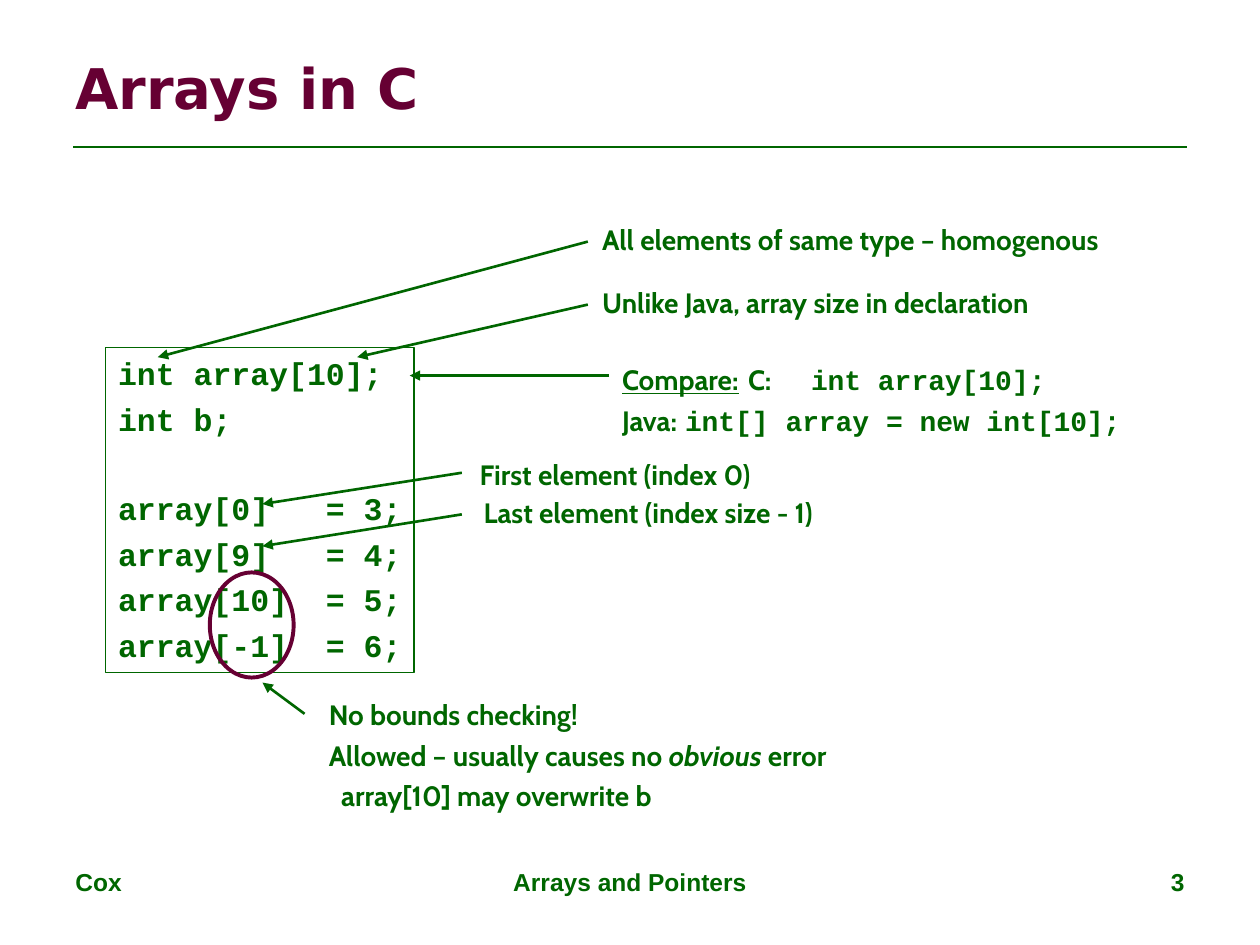
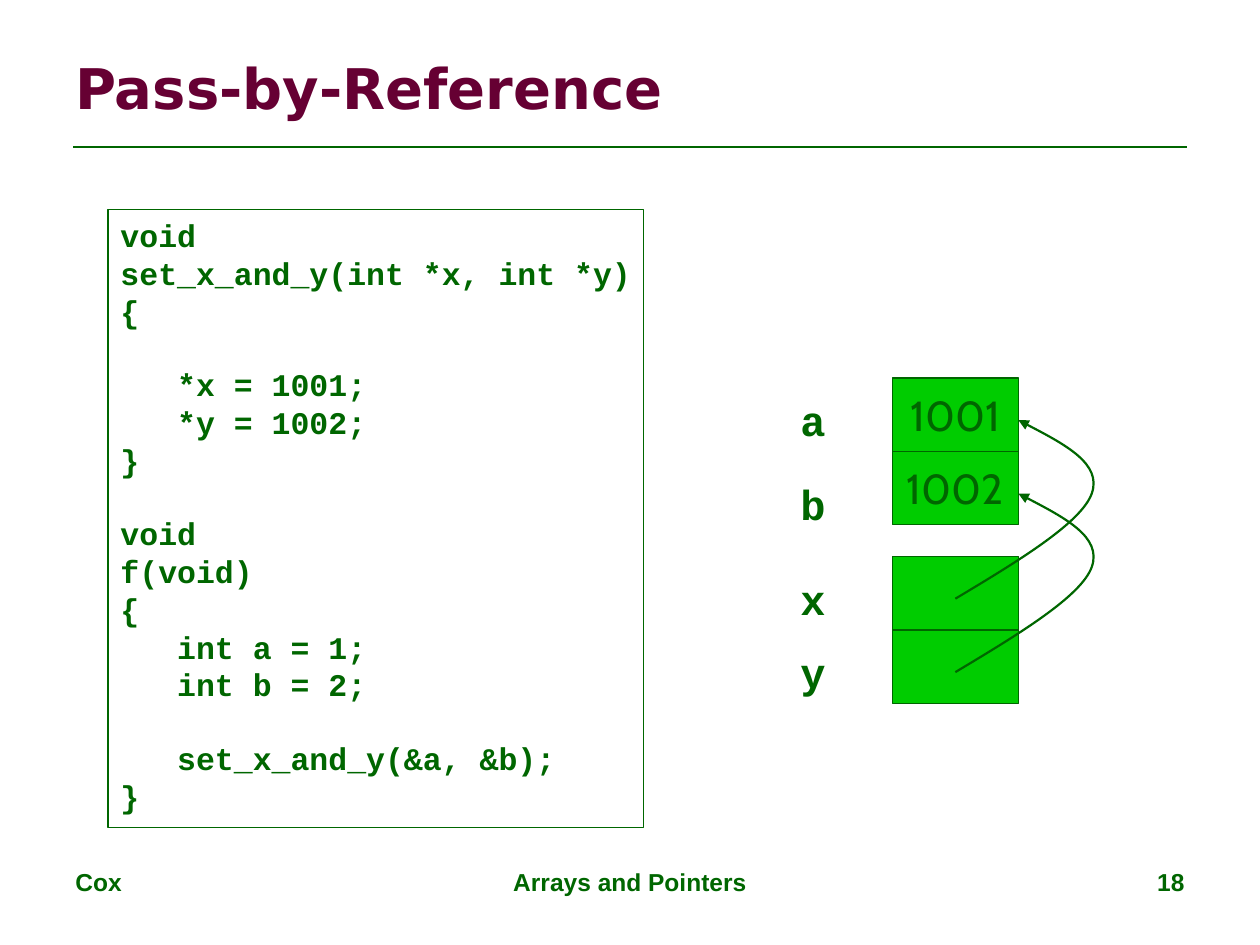
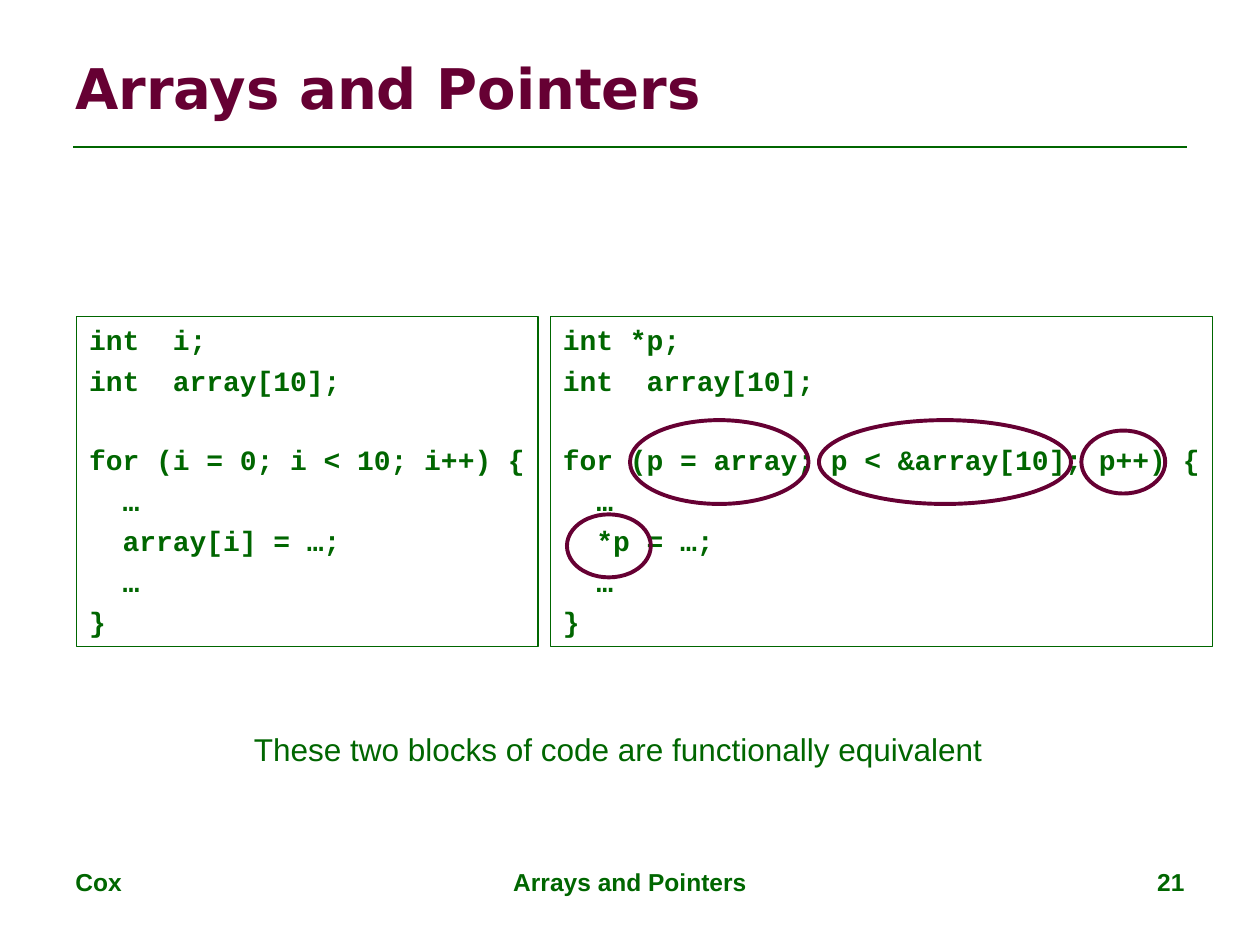
from lxml import etree
from pptx import Presentation
from pptx.dml.color import RGBColor
from pptx.enum.shapes import MSO_CONNECTOR, MSO_SHAPE
from pptx.enum.text import MSO_ANCHOR, MSO_AUTO_SIZE, PP_ALIGN
from pptx.oxml.ns import qn
from pptx.util import Cm, Pt

RECT, OVAL = MSO_SHAPE.RECTANGLE, MSO_SHAPE.OVAL
STRAIGHT = MSO_CONNECTOR.STRAIGHT
LEFT, CENTER, RIGHT = PP_ALIGN.LEFT, PP_ALIGN.CENTER, PP_ALIGN.RIGHT
TOP, MIDDLE = MSO_ANCHOR.TOP, MSO_ANCHOR.MIDDLE
FIT, FIXED = MSO_AUTO_SIZE.SHAPE_TO_FIT_TEXT, MSO_AUTO_SIZE.NONE

COLORS = {"ink": "006600", "accent": "660033", "cell": "00CC00"}
TITLE = {"name": "DejaVu Sans", "size": Pt(32), "bold": True}
FOOTER = {"name": "Arial", "size": Pt(14), "bold": True}
CAPTION = {"name": "Arial", "size": Pt(18)}
NOTE = {"name": "Cabin", "size": Pt(16), "bold": True}
VALUE = {"name": "Cabin", "size": Pt(24)}
LABEL = {"name": "Courier New", "size": Pt(24), "bold": True}
MONO = {"name": "Courier New"}
LINE_HEIGHT = 1.133

DECLARATIONS = """int array[10];
int b;

array[0]   = 3;
array[9]   = 4;
array[10]  = 5;
array[-1]  = 6;"""

SET_X_AND_Y = """void
set_x_and_y(int *x, int *y)
{

   *x = 1001;
   *y = 1002;
}

void
f(void)
{
   int a = 1;
   int b = 2;

   set_x_and_y(&a, &b);
}"""

INDEX_LOOP = """int  i;
int  array[10];

for (i = 0; i < 10; i++) {
  …
  array[i] = …;
  …
}"""

POINTER_LOOP = """int *p;
int  array[10];

for (p = array; p < &array[10]; p++) {
  …
  *p = …;
  …
}"""


def rgb(key):
    return RGBColor.from_string(COLORS[key])


def set_all(target, values):
    for key, value in values.items():
        setattr(target, key, value)


def write(p, runs, style, color="ink", **layout):
    set_all(p, layout)
    for text, extra in runs:
        r = p.add_run()
        r.text = text
        set_all(r.font, {**style, **extra})
        r.font.color.rgb = rgb(color)


def next_paragraph(tf):
    p = tf.paragraphs[0]
    return tf.add_paragraph() if p.runs else p


def frame(sp, wrap=False, size=FIT, anchor=TOP):
    tf = sp.text_frame
    set_all(tf, {"word_wrap": wrap, "auto_size": size, "vertical_anchor": anchor})
    return tf


def add_text(s, box, text, style, color="ink", align=LEFT, **options):
    tf = frame(s.shapes.add_textbox(*map(Cm, box)), **options)
    write(tf.paragraphs[0], [(text, {})], style, color, alignment=align)


def add_lines(s, box, lines):
    tf = frame(s.shapes.add_textbox(*map(Cm, box)))
    for runs, indent, stops in lines:
        p = next_paragraph(tf)
        write(p, runs, NOTE, space_before=Pt(4))
        pPr = p._p.get_or_add_pPr()
        pPr.set("marL", str(Cm(indent)))
        pPr.set("indent", "0")
        if stops:
            tabs = etree.SubElement(pPr, qn("a:tabLst"))
            for stop in stops:
                etree.SubElement(tabs, qn("a:tab"), pos=str(Cm(stop)), algn="l")


def add_outline(s, kind, box, line="ink", width=0.75, fill=None):
    sp = s.shapes.add_shape(kind, *map(Cm, box))
    sp.shadow.inherit = False
    if fill:
        sp.fill.solid()
        sp.fill.fore_color.rgb = rgb(fill)
    else:
        sp.fill.background()
    sp.line.color.rgb = rgb(line)
    sp.line.width = Pt(width)
    return sp


def add_code(s, box, code, size, gap=0):
    tf = frame(add_outline(s, RECT, box))
    before = gap
    for line in code.split("\n"):
        if not line:
            before += LINE_HEIGHT * size + gap
            continue
        write(next_paragraph(tf), [(line, {})],
              {**MONO, "size": Pt(size), "bold": True},
              alignment=LEFT, space_before=Pt(before))
        before = gap


def add_ring(s, box):
    add_outline(s, OVAL, box, "accent", 2.25)


def add_cell(s, box, value):
    sp = add_outline(s, RECT, box, fill="cell")
    if value:
        tf = frame(sp, size=FIXED, anchor=MIDDLE)
        write(tf.paragraphs[0], [(value, {})], VALUE, alignment=CENTER)


def add_arrowhead(sp):
    etree.SubElement(sp.line._get_or_add_ln(), qn("a:tailEnd"), type="triangle")


def add_line(s, start, end, arrow=True):
    c = s.shapes.add_connector(STRAIGHT, *map(Cm, start + end))
    c.line.color.rgb = rgb("ink")
    c.line.width = Pt(1.5)
    etree.SubElement(c._element.spPr, qn("a:effectLst"))
    if arrow:
        add_arrowhead(c)


def add_curved_arrow(s, points):
    start, *rest = [(Cm(x), Cm(y)) for x, y in points]
    builder = s.shapes.build_freeform(*start)
    builder.add_line_segments(rest, close=False)
    sp = builder.convert_to_shape()
    steps = list(sp._element.iter(qn("a:lnTo")))
    for i in range(0, len(steps), 3):
        curve = etree.Element(qn("a:cubicBezTo"))
        steps[i].addprevious(curve)
        for step in steps[i:i + 3]:
            curve.append(step[0])
            step.getparent().remove(step)
    sp.fill.background()
    sp.line.color.rgb = rgb("ink")
    sp.line.width = Pt(1.25)
    add_arrowhead(sp)
    sp.shadow.inherit = False


def add_slide(prs, title, number):
    s = prs.slides.add_slide(prs.slide_layouts[6])
    add_line(s, (1.48, 2.96), (23.92, 2.96), arrow=False)
    for x, w, text, align in [(1.27, 5.93, "Cox", LEFT),
                              (8.68, 8.04, "Arrays and Pointers", CENTER),
                              (18.2, 5.93, str(number), RIGHT)]:
        add_text(s, (x, 17.36, w, 1.32), text, FOOTER, align=align,
                 wrap=True, size=FIXED)
    add_text(s, (1.27, 0.76, 22.86, 1.98), title, TITLE, "accent",
             wrap=True, size=FIXED, anchor=MIDDLE)
    return s


def arrays_in_c(prs):
    s = add_slide(prs, "Arrays in C", 3)
    add_code(s, (2.13, 7.01, 6.22, 6.55), DECLARATIONS, 18, 4.5)
    add_ring(s, (4.23, 11.54, 1.69, 2.12))
    for x, y, w, text in [
            (11.89, 4.37, 12.01, "All elements of same type – homogenous"),
            (11.89, 5.64, 10.74, "Unlike Java, array size in declaration"),
            (9.42, 9.09, 6.81, "First element (index 0)"),
            (9.5, 9.86, 8.26, "Last element (index size - 1)")]:
        add_text(s, (x, y, w, 0.94), text, NOTE)
    add_lines(s, (12.29, 7.19, 11.84, 1.75), [
        ([("Compare:", {"underline": True}), ("\tC:\t", {}),
          ("int array[10];", MONO)], 0, (2.61, 5.08)),
        ([("Java:\t", {}), ("int[] array = new int[10];", MONO)], 0, (2.54,))])
    add_lines(s, (6.38, 13.94, 12.04, 2.57), [
        ([("No bounds checking!", {})], 0, ()),
        ([("Allowed – usually causes no ", {}), ("obvious", {"italic": True}),
          (" error", {})], 0, ()),
        ([("array[10] may overwrite b", {})], 0.25, ())])
    for start, end in [((11.85, 4.87), (3.18, 7.2)),
                       ((11.85, 6.14), (7.2, 7.2)),
                       ((12.28, 7.57), (8.26, 7.57)),
                       ((9.31, 9.53), (5.29, 10.16)),
                       ((9.31, 10.37), (5.29, 11.01)),
                       ((6.14, 14.39), (5.29, 13.76))]:
        add_line(s, start, end)


def pass_by_reference(prs):
    s = add_slide(prs, "Pass-by-Reference", 18)
    add_code(s, (2.18, 4.23, 10.8, 12.45), SET_X_AND_Y, 18)
    cell_h = 1.48
    for name, label_y, cell_y, value in [("a", 7.83, 7.62, "1001"),
                                         ("b", 9.53, 7.62 + cell_h, "1002"),
                                         ("x", 11.43, 11.22, ""),
                                         ("y", 12.91, 11.22 + cell_h, "")]:
        add_text(s, (15.88, label_y, 1.02, 1.27), name, LABEL, align=CENTER)
        add_cell(s, (17.99, cell_y, 2.54, cell_h), value)
    pointer = [(19.26, 12.07), (20.53, 11.31), (21.8, 10.54), (22.01, 9.95),
               (22.22, 9.35), (21.38, 8.91), (20.53, 8.47)]
    for drop in (0, cell_h):
        add_curved_arrow(s, [(x, y + drop) for x, y in pointer])


def arrays_and_pointers(prs):
    s = add_slide(prs, "Arrays and Pointers", 21)
    for x, w, code in [(1.55, 9.3, INDEX_LOOP), (11.1, 13.34, POINTER_LOOP)]:
        add_code(s, (x, 6.38, w, 6.65), code, 16, 4)
    for box in [(12.7, 8.47, 3.6, 1.69), (16.51, 8.47, 5.08, 1.69),
                (21.8, 8.68, 1.69, 1.27), (11.43, 10.37, 1.69, 1.27)]:
        add_ring(s, box)
    add_text(s, (4.87, 14.6, 15.19, 1.02),
             "These two blocks of code are functionally equivalent", CAPTION)


def main():
    prs = Presentation()
    prs.slide_width, prs.slide_height = Cm(25.4), Cm(19.05)
    arrays_in_c(prs)
    pass_by_reference(prs)
    arrays_and_pointers(prs)
    prs.save("out.pptx")


if __name__ == "__main__":
    main()
